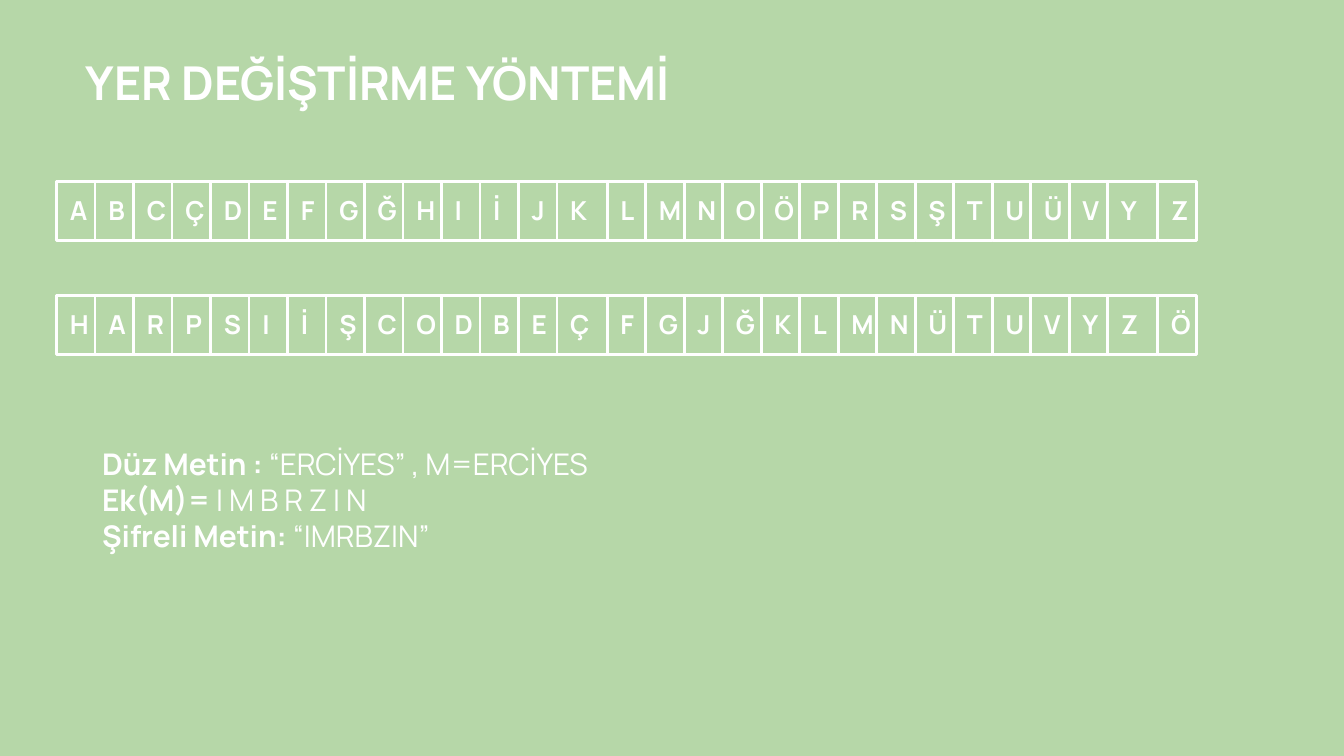
import pptx
import pptx.dml.color
import pptx.enum.shapes
import pptx.enum.text
import pptx.util
from pptx.util import Cm

WHITE = pptx.dml.color.RGBColor(0xFF, 0xFF, 0xFF)
GREEN = pptx.dml.color.RGBColor(0xB6, 0xD7, 0xA8)
FONT = "Manrope"

PLAIN_ALPHABET = "ABCÇDEFGĞHIİJKLMNOÖPRSŞTUÜVYZ"
CIPHER_ALPHABET = "HARPSIİŞCODBEÇFGJĞKLMNÜTUVYZÖ"
WIDE_COLUMNS = (13, 27)
ROW_LEFT = 1.07
ROW_WIDTH = 21.54
WIDE_CELL = 0.95
CELL_HEIGHT = 1.12

EXAMPLE_LINES = [
    ("Düz Metin : ", "“ERCİYES” , M=ERCİYES"),
    ("Ek(M)=", " I M B R Z I N"),
    ("Şifreli Metin: ", "“IMRBZIN”"),
]


def prepare_frame(shape):
    frame = shape.text_frame
    frame.word_wrap = True
    frame.auto_size = pptx.enum.text.MSO_AUTO_SIZE.SHAPE_TO_FIT_TEXT
    frame.vertical_anchor = pptx.enum.text.MSO_ANCHOR.TOP
    frame.margin_left = frame.margin_right = Cm(0.25)
    frame.margin_top = frame.margin_bottom = Cm(0.25)
    return frame


def style_paragraph(paragraph, size):
    paragraph.alignment = pptx.enum.text.PP_ALIGN.LEFT
    paragraph.font.name = FONT
    paragraph.font.size = pptx.util.Pt(size)
    paragraph.font.color.rgb = WHITE


def add_title(slide, text):
    box = slide.shapes.add_textbox(Cm(1.37), Cm(0.76), Cm(12.7), Cm(1.57))
    paragraph = prepare_frame(box).paragraphs[0]
    paragraph.text = text
    style_paragraph(paragraph, 25)
    paragraph.font.bold = True


def add_letter_cell(slide, letter, left, top, width):
    cell = slide.shapes.add_shape(
        pptx.enum.shapes.MSO_SHAPE.RECTANGLE,
        Cm(left), Cm(top), Cm(width), Cm(CELL_HEIGHT),
    )
    cell.shadow.inherit = False
    cell.fill.background()
    cell.line.color.rgb = WHITE
    cell.line.width = pptx.util.Pt(1.5)
    paragraph = prepare_frame(cell).paragraphs[0]
    paragraph.text = letter
    style_paragraph(paragraph, 14)
    paragraph.font.bold = True


def add_alphabet_row(slide, alphabet, top):
    wide_count = len(WIDE_COLUMNS)
    narrow_cell = (ROW_WIDTH - wide_count * WIDE_CELL) / (len(alphabet) - wide_count)
    left = ROW_LEFT
    for column, letter in enumerate(alphabet):
        width = WIDE_CELL if column in WIDE_COLUMNS else narrow_cell
        add_letter_cell(slide, letter, left, top, width)
        left += width


def add_example(slide, lines):
    box = slide.shapes.add_textbox(Cm(1.68), Cm(8.18), Cm(18.9), Cm(2.57))
    frame = prepare_frame(box)
    for index, (label, value) in enumerate(lines):
        paragraph = frame.add_paragraph() if index else frame.paragraphs[0]
        style_paragraph(paragraph, 16)
        for text, bold in ((label, True), (value, False)):
            run = paragraph.add_run()
            run.text = text
            run.font.bold = bold


def main():
    presentation = pptx.Presentation()
    presentation.slide_width = Cm(25.4)
    presentation.slide_height = Cm(14.29)
    slide = presentation.slides.add_slide(presentation.slide_layouts[6])
    slide.background.fill.solid()
    slide.background.fill.fore_color.rgb = GREEN

    add_title(slide, "YER DEĞİŞTİRME YÖNTEMİ")
    add_alphabet_row(slide, PLAIN_ALPHABET, 3.43)
    add_alphabet_row(slide, CIPHER_ALPHABET, 5.58)
    add_example(slide, EXAMPLE_LINES)
    presentation.save("out.pptx")


if __name__ == "__main__":
    main()
